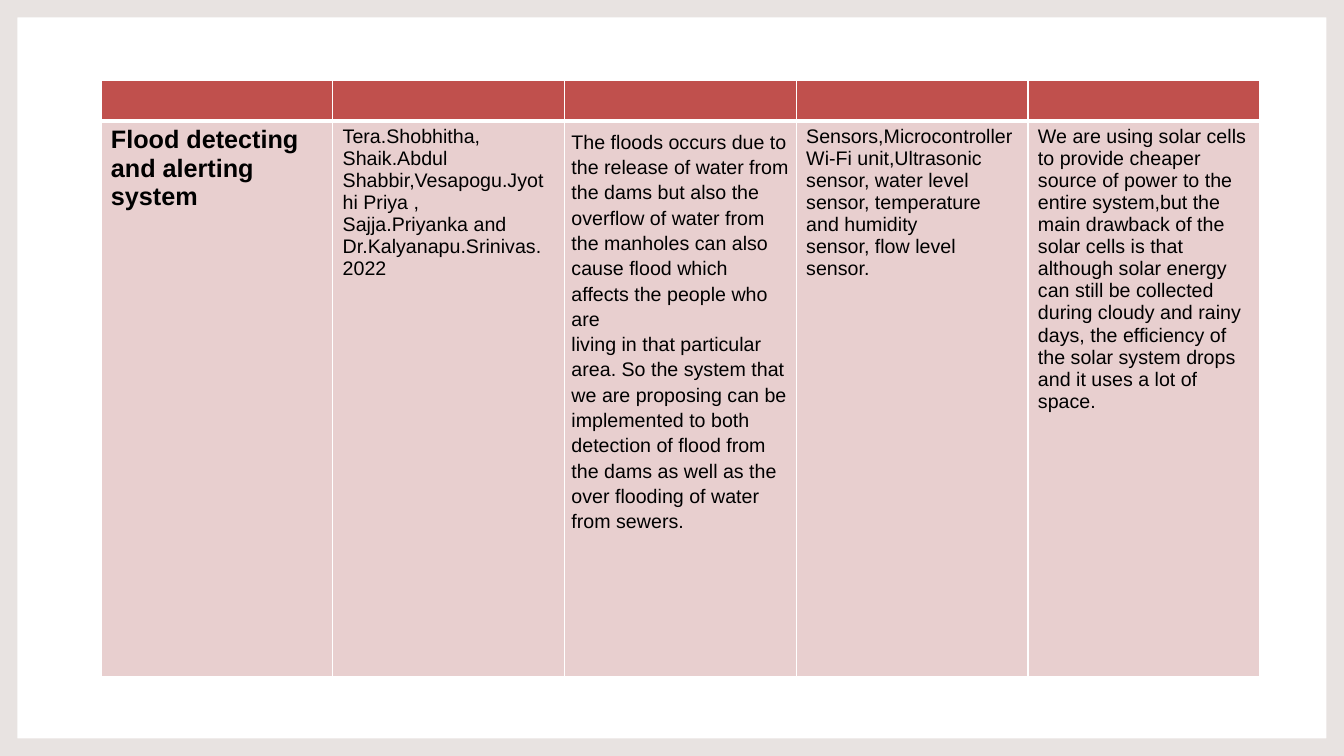
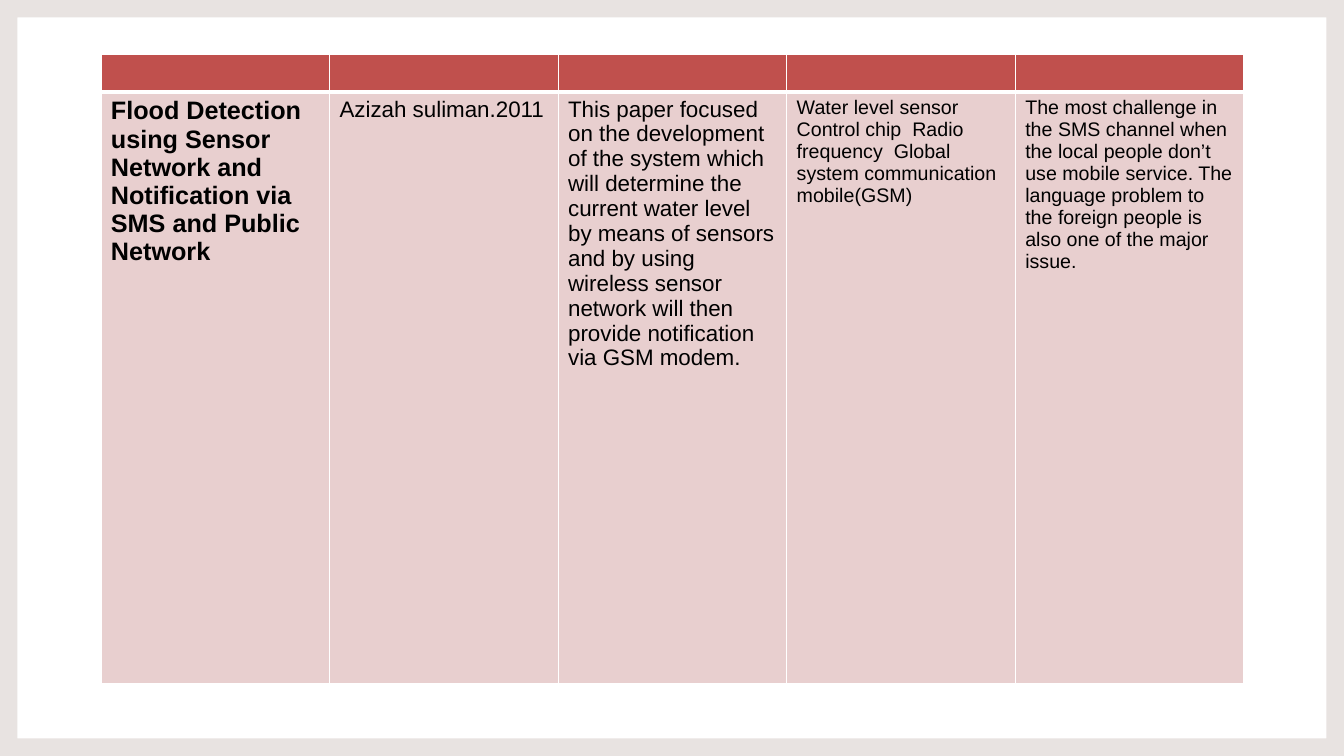
from lxml import etree
from pptx import Presentation
from pptx import util as u
from pptx.dml.color import RGBColor
from pptx.enum import shapes
from pptx.oxml import ns

WHITE = RGBColor(0xFF, 0xFF, 0xFF)
BLACK = RGBColor(0x00, 0x00, 0x00)
FRAME = RGBColor(0xE8, 0xE3, 0xE1)
HEADER = RGBColor(0xC0, 0x50, 0x4D)
BODY = RGBColor(0xE8, 0xCF, 0xCF)
FONT = "Arial"
W, H, EDGE = 1344, 756, 17.5
SCALE = 12192000 / W


def px(n):
    return u.Emu(round(n * SCALE))


def style_cell(cell, fill, bottom):
    """Fill a cell and give it white borders, widths in points."""
    cell.fill.solid()
    cell.fill.fore_color.rgb = fill
    tcPr = cell._tc.get_or_add_tcPr()
    for i, (side, pt) in enumerate((("L", 1), ("R", 1), ("T", 1), ("B", bottom))):
        ln = etree.Element(ns.qn("a:ln" + side), w=str(u.Pt(pt)))
        solid = etree.SubElement(ln, ns.qn("a:solidFill"))
        etree.SubElement(solid, ns.qn("a:srgbClr"), val=str(WHITE))
        tcPr.insert(i, ln)


# Each column: size, bold, line spacing, margins (left/right, top/bottom), paragraphs
TITLE = (18, True, None, (10, 5))
SMALL = (14, False, None, (10, 5))
LARGE = (16, False, None, (10, 5))
SPACED = (14, False, 1.15, (7, 7))
SLIDES = [
    {"top": 80, "width": 1159, "rows": (41, 556), "cells": [
        (*TITLE, ["Flood detecting and alerting system"]),
        (*SMALL, ["Tera.Shobhitha, Shaik.Abdul Shabbir,Vesapogu.Jyothi Priya ,",
                  "Sajja.Priyanka and Dr.Kalyanapu.Srinivas.",
                  "2022"]),
        (*SPACED, ["The floods occurs due to the release of water from the dams but also the",
                   "overflow of water from the manholes can also cause flood which affects "
                   "the people who are",
                   "living in that particular area. So the system that we are proposing can "
                   "be implemented to both",
                   "detection of flood from the dams as well as the over flooding of water "
                   "from sewers."]),
        (*SMALL, ["Sensors,Microcontroller Wi-Fi unit,Ultrasonic sensor, water level sensor, "
                  "temperature and humidity",
                  "sensor, flow level sensor."]),
        (*SMALL, ["We are using solar cells to provide cheaper source of power to the entire "
                  "system,but the main drawback of the solar cells is that although solar "
                  "energy can still be collected during cloudy and rainy days, the efficiency "
                  "of the solar system drops and it uses a lot of space."]),
    ]},
    {"top": 54, "width": 1143, "rows": (38, 592), "cells": [
        (*TITLE, ["Flood Detection using Sensor Network and Notification via SMS and "
                  "Public Network"]),
        (*LARGE, ["Azizah suliman.2011"]),
        (*LARGE, ["This paper focused on the development of the system which will determine "
                  "the current water level by means of sensors and by using wireless sensor "
                  "network will then provide notification via GSM modem."]),
        (*SMALL, ["Water level sensor  Control chip  Radio frequency  Global system "
                  "communication mobile(GSM)"]),
        (*SMALL, ["The most challenge in the SMS channel when the local people don’t use "
                  "mobile service. The language problem to the foreign people is also one "
                  "of the major issue."]),
    ]},
]

prs = Presentation()
prs.slide_width, prs.slide_height = px(W), px(H)

for data in SLIDES:
    s = prs.slides.add_slide(prs.slide_layouts[6])

    # Frame around the slide
    sp = s.shapes.add_shape(shapes.MSO_SHAPE.FRAME, 0, 0, px(W), px(H))
    sp.adjustments[0] = EDGE / H
    sp.fill.solid()
    sp.fill.fore_color.rgb = FRAME
    sp.line.fill.background()
    sp.shadow.inherit = False

    # Table with an empty header band and one body row
    cells = data["cells"]
    table = s.shapes.add_table(2, len(cells), px(101), px(data["top"]),
                               px(data["width"]), px(sum(data["rows"]))).table
    for row, height in zip(table.rows, data["rows"]):
        row.height = px(height)
    for col, (size, bold, spacing, (side, end), paragraphs) in enumerate(cells):
        table.columns[col].width = px(data["width"] / len(cells))
        head, cell = table.cell(0, col), table.cell(1, col)
        style_cell(head, HEADER, 3)
        head.margin_top = head.margin_bottom = 0
        style_cell(cell, BODY, 1)
        cell.margin_left = cell.margin_right = px(side)
        cell.margin_top = cell.margin_bottom = px(end)

        # Body text
        tf = cell.text_frame
        tf.text = "\n".join(paragraphs)
        for p in tf.paragraphs:
            p.line_spacing = spacing
            r = p.runs[0]
            for key, value in {"name": FONT, "size": u.Pt(size), "bold": bold}.items():
                setattr(r.font, key, value)
            r.font.color.rgb = BLACK

prs.save("out.pptx")
